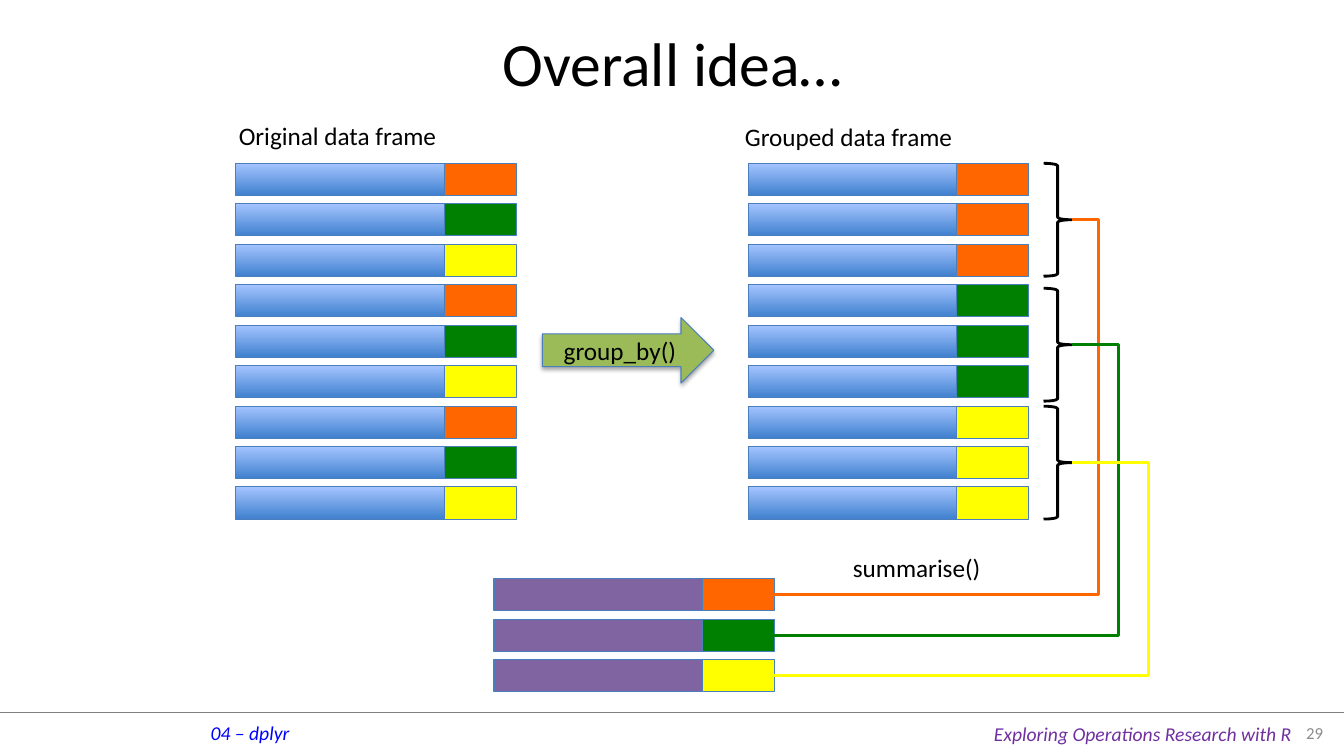
from lxml.etree import SubElement
from pptx import Presentation
from pptx.dml.color import RGBColor
from pptx.enum.shapes import MSO_CONNECTOR, MSO_SHAPE
from pptx.enum.text import MSO_ANCHOR, MSO_AUTO_SIZE, PP_ALIGN
from pptx.oxml.ns import qn
from pptx.util import Inches, Pt

BLACK = RGBColor(0x00, 0x00, 0x00)
GRAY = RGBColor(0x80, 0x80, 0x80)
NUMBER_GRAY = RGBColor(0x8C, 0x8C, 0x8C)
FOOTER_BLUE = RGBColor(0x00, 0x00, 0xFF)
FOOTER_PURPLE = RGBColor(0x70, 0x30, 0xA0)
OUTLINE = RGBColor(0x4B, 0x7E, 0xBC)
DARK_BLUE = RGBColor(0x3F, 0x80, 0xCE)
LIGHT_BLUE = RGBColor(0xA4, 0xC4, 0xFF)
PURPLE = RGBColor(0x80, 0x64, 0xA2)
ARROW_GREEN = RGBColor(0x9B, 0xBB, 0x59)
ORANGE = RGBColor(0xFF, 0x66, 0x00)
GREEN = RGBColor(0x00, 0x80, 0x00)
YELLOW = RGBColor(0xFF, 0xFF, 0x00)

ROW_STEP = 0.4014
ROW_HEIGHT = 0.32
DATA_WIDTH = 2.07
KEY_WIDTH = 0.71

deck = Presentation()
deck.slide_width = Inches(13.33)
deck.slide_height = Inches(7.5)
page = deck.slides.add_slide(deck.slide_layouts[6])


def write(box, text, size, color, align=PP_ALIGN.LEFT, italic=False):
    para = box.text_frame.paragraphs[0]
    para.alignment = align
    span = para.add_run()
    span.text = text
    span.font.name = "Calibri"
    span.font.size = Pt(size)
    span.font.italic = italic
    span.font.color.rgb = color


def add_line(kind, start, end, color, width):
    line = page.shapes.add_connector(kind, *[Inches(value) for value in start + end])
    line.line.color.rgb = color
    line.line.width = Pt(width)
    SubElement(line._element.spPr, qn("a:effectLst"))
    return line


add_line(MSO_CONNECTOR.STRAIGHT, (0, 7.07), (13.33, 7.07), GRAY, 0.25)

for text, left, top, width, height, size, color, italic in [
    ("04 – dplyr", 1.99, 7.1, 0.99, 0.34, 14, FOOTER_BLUE, True),
    ("Exploring Operations Research with R", 9.76, 7.11, 3.18, 0.34, 14, FOOTER_PURPLE, True),
    ("Original data frame", 2.27, 1.14, 2.19, 0.4, 18, BLACK, False),
    ("Grouped data frame", 7.29, 1.15, 2.29, 0.4, 18, BLACK, False),
    ("summarise()", 8.36, 5.43, 1.48, 0.4, 18, BLACK, False),
]:
    box = page.shapes.add_textbox(Inches(left), Inches(top), Inches(width), Inches(height))
    box.text_frame.word_wrap = False
    box.text_frame.auto_size = MSO_AUTO_SIZE.SHAPE_TO_FIT_TEXT
    write(box, text, size, color, italic=italic)

for text, left, top, width, height, size, color, align in [
    ("Overall idea…", 2.17, -0.01, 9, 1.25, 44, BLACK, PP_ALIGN.CENTER),
    ("29", 12.67, 7.07, 0.55, 0.39, 12, NUMBER_GRAY, PP_ALIGN.RIGHT),
]:
    box = page.shapes.add_textbox(Inches(left), Inches(top), Inches(width), Inches(height))
    box.text_frame.word_wrap = True
    box.text_frame.vertical_anchor = MSO_ANCHOR.MIDDLE
    write(box, text, size, color, align)

key_colors = [ORANGE, GREEN, YELLOW]
original_keys = key_colors * 3
grouped_keys = [color for color in key_colors for _ in range(3)]

for frame_left, frame_top, keys, data_color in [
    (2.34, 1.62, original_keys, None),
    (7.42, 1.62, grouped_keys, None),
    (4.9, 5.74, key_colors, PURPLE),
]:
    for row, key_color in enumerate(keys):
        top = frame_top + row * ROW_STEP
        for left, width, color in [
            (frame_left, DATA_WIDTH, data_color),
            (frame_left + DATA_WIDTH, KEY_WIDTH, key_color),
        ]:
            cell = page.shapes.add_shape(
                MSO_SHAPE.RECTANGLE, Inches(left), Inches(top), Inches(width), Inches(ROW_HEIGHT)
            )
            cell.shadow.inherit = False
            cell.line.color.rgb = OUTLINE
            cell.line.width = Pt(0.75)
            if color is None:
                cell.fill.gradient()
                cell.fill.gradient_angle = 90
                for stop, shade in zip(cell.fill.gradient_stops, [DARK_BLUE, LIGHT_BLUE]):
                    stop.color.rgb = shade
            else:
                cell.fill.solid()
                cell.fill.fore_color.rgb = color

arrow = page.shapes.add_shape(
    MSO_SHAPE.RIGHT_ARROW, Inches(5.38), Inches(3.15), Inches(1.7), Inches(0.65)
)
arrow.fill.solid()
arrow.fill.fore_color.rgb = ARROW_GREEN
arrow.line.color.rgb = OUTLINE
arrow.line.width = Pt(0.75)
arrow.text_frame.word_wrap = False
arrow.text_frame.vertical_anchor = MSO_ANCHOR.MIDDLE
write(arrow, "group_by()", 18, BLACK, PP_ALIGN.CENTER)

for group, (color, brace_top, bend) in enumerate(
    zip(key_colors, [1.62, 2.86, 4.03], [-9000, -15800, -25800])
):
    brace = page.shapes.add_shape(
        MSO_SHAPE.RIGHT_BRACE, Inches(10.35), Inches(brace_top), Inches(0.28), Inches(1.12)
    )
    brace.shadow.inherit = False
    brace.fill.background()
    brace.line.color.rgb = BLACK
    brace.line.width = Pt(2)

    summary_middle = 5.9 + group * ROW_STEP
    elbow = add_line(
        MSO_CONNECTOR.ELBOW, (10.63, brace_top + 0.56), (7.68, summary_middle), color, 2
    )
    adjustments = elbow._element.spPr.find(qn("a:prstGeom")).find(qn("a:avLst"))
    SubElement(adjustments, qn("a:gd"), name="adj1", fmla=f"val {bend}")

deck.save("out.pptx")
